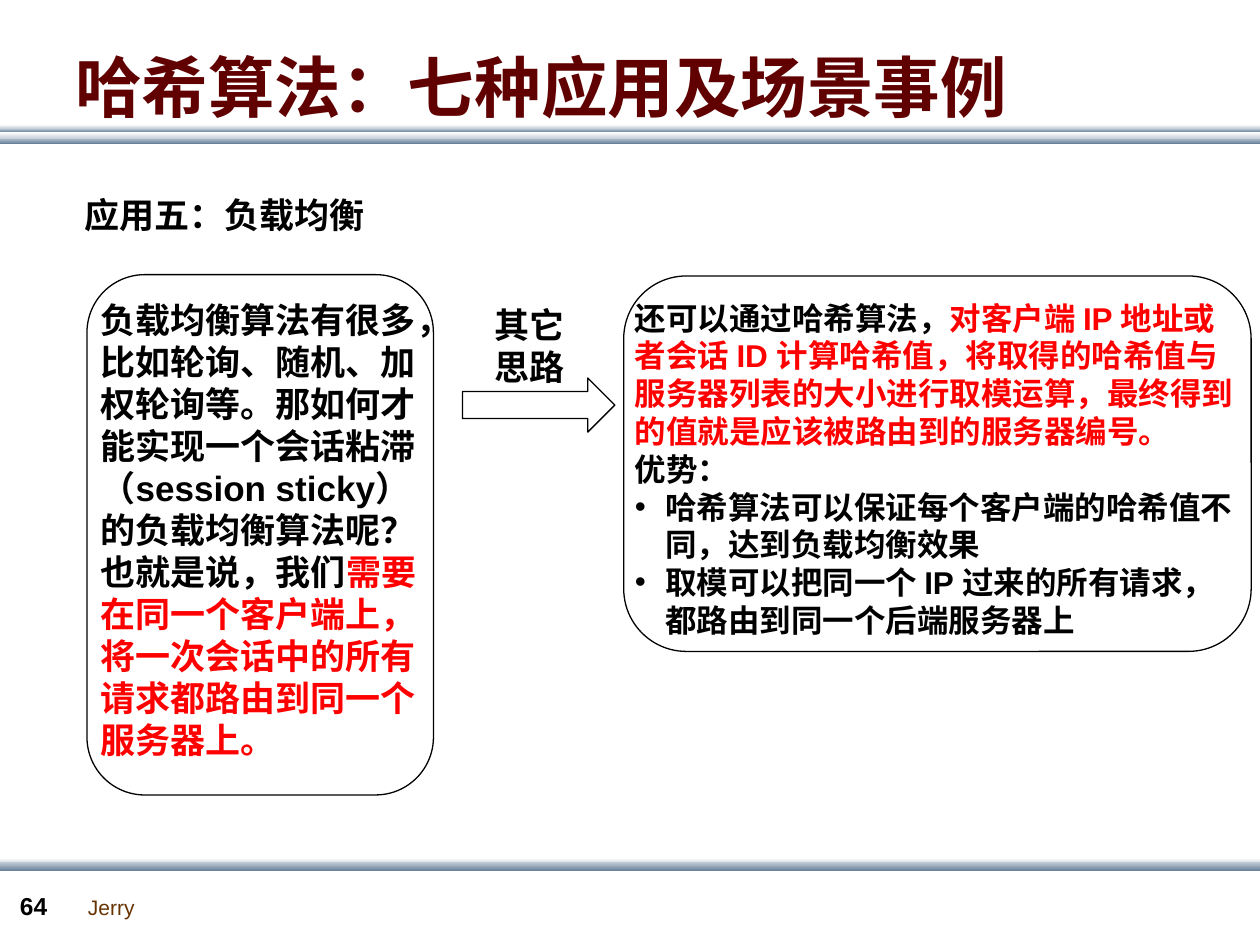
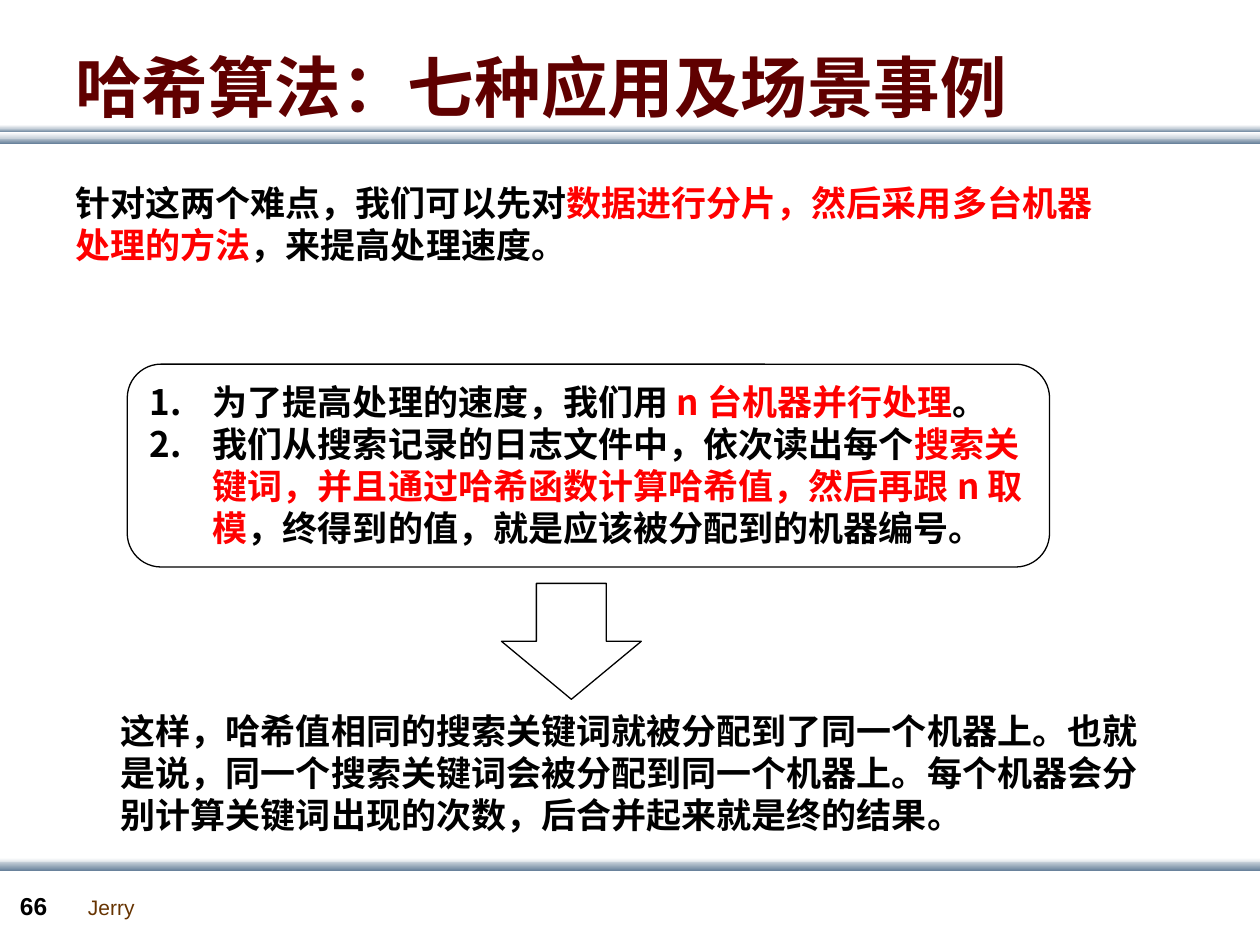
from lxml import etree
from pptx import Presentation
from pptx.dml.color import RGBColor
from pptx.enum.shapes import MSO_SHAPE
from pptx.enum.text import MSO_ANCHOR
from pptx.oxml.ns import qn
from pptx.util import Inches, Pt

RECT = MSO_SHAPE.RECTANGLE
ROUND = MSO_SHAPE.ROUNDED_RECTANGLE
RIGHT = MSO_SHAPE.RIGHT_ARROW
DOWN = MSO_SHAPE.DOWN_ARROW
TOP = MSO_ANCHOR.TOP
MIDDLE = MSO_ANCHOR.MIDDLE

COLORS = {
    "black": "000000",
    "red": "FF0000",
    "title": "600000",
    "footer": "663300",
    "white": "FFFFFF",
    "pale": "C8D1DA",
    "steel": "6A839C",
}
LATIN = "Arial"
HAN = "Noto Sans CJK SC"
TITLE = "哈希算法：七种应用及场景事例"
BANDS = [
    (1.09, 0.05, "pale", "steel"),
    (1.02, 0.03, "pale", "steel"),
    (1.05, 0.05, "white", "pale"),
    (0.99, 0.03, "white", "pale"),
    (6.81, 0.05, "white", "pale"),
    (6.84, 0.07, "pale", "steel"),
]


def rgb(name):
    return RGBColor.from_string(COLORS[name])


def add_mark(para, mark, indent):
    props = para._p.get_or_add_pPr()
    props.set("marL", str(Inches(indent)))
    props.set("indent", str(-Inches(indent)))
    tint = etree.SubElement(props, qn("a:buClr"))
    etree.SubElement(tint, qn("a:srgbClr"), val=COLORS["black"])
    if mark == "number":
        etree.SubElement(props, qn("a:buAutoNum"), type="arabicPeriod")
    else:
        etree.SubElement(props, qn("a:buFont"), typeface=LATIN)
        etree.SubElement(props, qn("a:buChar"), char=mark)


def add_run(para, text, size, color, bold, font):
    run = para.add_run()
    run.text = text
    run.font.size = Pt(size)
    run.font.bold = bold
    run.font.name = font
    run.font.color.rgb = rgb(color)
    etree.SubElement(run._r.get_or_add_rPr(), qn("a:ea"), typeface=HAN)


def add_text(slide, paras, box, size=20, color="black", bold=True, font=LATIN,
             inset=0.08, pitch=1.2, anchor=TOP, wrap=True, indent=0.5):
    frame = slide.shapes.add_textbox(*map(Inches, box)).text_frame
    frame.word_wrap = wrap
    frame.vertical_anchor = anchor
    frame.margin_top = Inches(inset)
    for index, (mark, runs) in enumerate(paras):
        para = frame.paragraphs[0] if index == 0 else frame.add_paragraph()
        if mark:
            add_mark(para, mark, indent)
        if pitch:
            para.line_spacing = Pt(size * pitch)
        for text, tint in runs:
            add_run(para, text, size, tint or color, bold, font)


def add_label(slide, text, box, **style):
    add_text(slide, [(None, [(text, None)])], box, **style)


def add_form(slide, kind, box, *adjust):
    form = slide.shapes.add_shape(kind, *map(Inches, box))
    form.shadow.inherit = False
    form.fill.background()
    form.line.color.rgb = rgb("black")
    form.line.width = Pt(0.75)
    for index, value in enumerate(adjust):
        form.adjustments[index] = value


def add_band(slide, top, height, start, end):
    band = slide.shapes.add_shape(
        RECT, 0, Inches(top), Inches(10), Inches(height))
    band.shadow.inherit = False
    band.line.fill.background()
    band.fill.gradient()
    band.fill.gradient_angle = 270
    for stop, name in zip(band.fill.gradient_stops, (start, end)):
        stop.color.rgb = rgb(name)


def add_page(deck, number):
    slide = deck.slides.add_slide(deck.slide_layouts[6])
    for band in BANDS:
        add_band(slide, *band)
    plain = {"inset": 0.05, "pitch": None}
    add_label(slide, "Jerry", (0.6, 7.05, 0.57, 0.3), size=12,
              color="footer", bold=False, wrap=False, **plain)
    add_label(slide, str(number), (0.06, 7.02, 0.55, 0.34), size=14, **plain)
    add_label(slide, TITLE, (0.5, 0.3, 9, 0.77), size=38, color="title",
              font=HAN, anchor=MIDDLE, **plain)
    return slide


def build_balance(deck):
    slide = add_page(deck, 64)
    add_label(slide, "应用五：负载均衡", (0.57, 1.46, 2.61, 0.44))
    add_form(slide, RIGHT, (3.67, 3, 1.21, 0.43), 0.5, 0.5)
    add_text(slide, [
        (None, [
            ("还可以通过哈希算法，", None),
            ("对客户端 IP 地址或者会话 ID 计算哈希值，将取得的哈希值与"
             "服务器列表的大小进行取模运算，最终得到的值就是应该被路由到的"
             "服务器编号。", "red"),
        ]),
        (None, [("优势：", None)]),
        ("•", [("哈希算法可以保证每个客户端的哈希值不同，达到负载均衡效果",
                None)]),
        ("•", [("取模可以把同一个 IP 过来的所有请求，都路由到同一个"
                "后端服务器上", None)]),
    ], (4.94, 2.29, 4.98, 2.8), size=18, indent=0.24)
    add_label(slide, "其它思路", (3.83, 2.33, 0.94, 0.77))
    add_form(slide, ROUND, (4.95, 2.19, 4.98, 2.98), 0.167)
    add_text(slide, [(None, [
        ("负载均衡算法有很多，比如轮询、随机、加权轮询等。那如何才能实现"
         "一个会话粘滞（session sticky）的负载均衡算法呢？也就是说，我们",
         None),
        ("需要在同一个客户端上，将一次会话中的所有请求都路由到同一个"
         "服务器上。", "red"),
    ])], (0.7, 2.29, 2.74, 4.1))
    add_form(slide, ROUND, (0.69, 2.18, 2.75, 4.13), 0.167)


def build_shard(deck):
    slide = add_page(deck, 66)
    add_text(slide, [(None, [
        ("针对这两个难点，我们可以先对", None),
        ("数据进行分片，然后采用多台机器处理的方法", "red"),
        ("，来提高处理速度。", None),
    ])], (0.5, 1.36, 8.52, 0.77))
    add_text(slide, [
        ("number", [
            ("为了提高处理的速度，我们用 ", None),
            ("n 台机器并行处理", "red"),
            ("。", None),
        ]),
        ("number", [
            ("我们从搜索记录的日志文件中，依次读出每个", None),
            ("搜索关键词，并且通过哈希函数计算哈希值，然后再跟 n 取模", "red"),
            ("，终得到的值，就是应该被分配到的机器编号。", None),
        ]),
    ], (1.09, 2.94, 7.35, 1.44), font=HAN)
    add_form(slide, ROUND, (1.01, 2.89, 7.32, 1.61), 0.167)
    add_label(slide,
              "这样，哈希值相同的搜索关键词就被分配到了同一个机器上。也就是说，"
              "同一个搜索关键词会被分配到同一个机器上。每个机器会分别计算"
              "关键词出现的次数，后合并起来就是终的结果。",
              (0.86, 5.55, 8.28, 1.1))
    add_form(slide, DOWN, (3.98, 4.63, 1.11, 0.92), 0.5, 0.5)


def main():
    deck = Presentation()
    deck.slide_width = Inches(10)
    deck.slide_height = Inches(7.5)
    build_balance(deck)
    build_shard(deck)
    deck.save("out.pptx")


if __name__ == "__main__":
    main()
